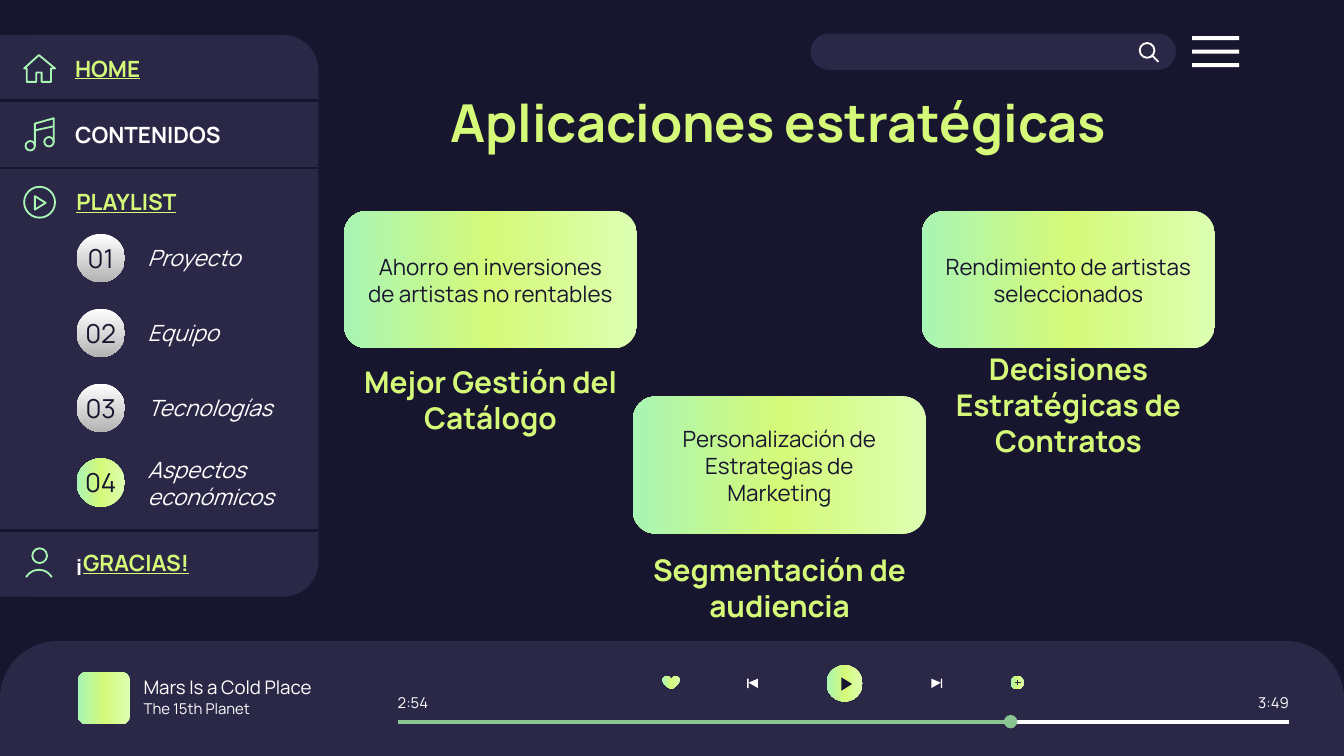
import math

from lxml import etree
from pptx import Presentation
from pptx import util as u
from pptx.dml.color import RGBColor
from pptx.enum import shapes, text
from pptx.oxml.ns import qn

COLOURS = {
    "night": "17162E", "panel": "2A2747", "white": "FFFFFF", "silver": "B3B3B3",
    "lime": "D5F979", "pale": "DDFFB2", "mint": "A9F5B4", "green": "88C591",
}
GRADIENTS = {
    "fresh": (180, [(0, "pale"), (50, "lime"), (100, "mint")]),
    "metal": (90, [(0, "white"), (100, "silver")]),
}
FONT = "Manrope"
SHAPE = shapes.MSO_SHAPE
LEFT, CENTER, RIGHT = text.PP_ALIGN.LEFT, text.PP_ALIGN.CENTER, text.PP_ALIGN.RIGHT

LINK = {"size": u.Pt(12), "bold": True, "underline": True, "color": "lime"}
LABEL = {"size": u.Pt(12), "bold": True, "color": "white"}
ITEM = {"size": u.Pt(12), "italic": True, "color": "white"}
NUMBER = {"size": u.Pt(14), "color": "night"}
TITLE = {"size": u.Pt(28), "bold": True, "color": "lime"}
HEADING = {"size": u.Pt(16), "bold": True, "color": "lime"}
BODY = {"size": u.Pt(12), "color": "night"}
SONG = {"size": u.Pt(10), "color": "white"}
SMALL = {"size": u.Pt(8), "color": "white"}

TITLE_TEXT = "Aplicaciones estratégicas"
MENU = [  # left, top, width, runs
    (0.46, 0.33, 2.08, [("HOME", LINK)]),
    (0.46, 0.82, 2.08, [("CONTENIDOS", LABEL)]),
    (0.47, 1.32, 1.3, [("PLAYLIST", LINK)]),
    (0.46, 4.01, 2.08, [("¡", LABEL), ("GRACIAS!", LINK)]),
]
DIVIDERS = [0.75, 1.25, 3.95]
PLAYLIST = ["Proyecto", "Equipo", "Tecnologías", "Aspectos económicos"]
CURRENT = 4
CARDS = [  # card top, card text, heading, heading top
    (1.57, "Ahorro en inversiones de artistas no rentables", "Mejor Gestión del Catálogo", 2.68),
    (2.95, "Personalización de Estrategias de Marketing", "Segmentación de audiencia", 4.08),
    (1.57, "Rendimiento de artistas seleccionados", "Decisiones Estratégicas de Contratos", 2.72),
]
PLAYER_TEXTS = [  # box, words, format, alignment, side inset
    ((0.97, 5.03, 1.91, 0.17), "Mars Is a Cold Place", SONG, LEFT, 0.1),
    ((0.97, 5.19, 1.15, 0.17), "The 15th Planet", SMALL, LEFT, 0.1),
    ((2.96, 5.14, 0.27, 0.17), "2:54", SMALL, LEFT, 0),
    ((9.32, 5.14, 0.27, 0.17), "3:49", SMALL, RIGHT, 0),
]
TRACK_START, TRACK_NOW, TRACK_END, TRACK_Y = 2.96, 7.47, 9.59, 5.37

presentation = Presentation()
presentation.slide_width, presentation.slide_height = u.Inches(10), u.Inches(5.625)
slide = presentation.slides.add_slide(presentation.slide_layouts[5])


def rgb(name):
    return RGBColor.from_string(COLOURS[name])


def paint(shape, fill=None, line=None, weight=1):
    """Fill with a colour or gradient name; None means no fill or no line."""
    shape.shadow.inherit = False
    if fill in GRADIENTS:
        angle, stops = GRADIENTS[fill]
        shape.fill.gradient()
        gradient = shape._element.spPr.find(qn("a:gradFill"))
        stop_list = gradient.find(qn("a:gsLst"))
        for stop in list(stop_list):
            stop_list.remove(stop)
        for position, name in stops:
            stop = etree.SubElement(stop_list, qn("a:gs"), pos=str(position * 1000))
            etree.SubElement(stop, qn("a:srgbClr"), val=COLOURS[name])
        gradient.find(qn("a:lin")).set("ang", str(angle * 60000))
    elif fill:
        shape.fill.solid()
        shape.fill.fore_color.rgb = rgb(fill)
    else:
        shape.fill.background()
    if line:
        shape.line.color.rgb = rgb(line)
        shape.line.width = u.Pt(weight)
    else:
        shape.line.fill.background()


def add_shape(kind, box, fill=None, line=None, adjust=()):
    shape = slide.shapes.add_shape(kind, *map(u.Inches, box))
    for index, value in enumerate(adjust):
        shape.adjustments[index] = value
    paint(shape, fill, line)
    return shape


def add_outline(points, fill=None, line=None, close=True):
    corners = [(u.Inches(x), u.Inches(y)) for x, y in points]
    builder = slide.shapes.build_freeform(*corners[0])
    builder.add_line_segments(corners[1:], close=close)
    paint(builder.convert_to_shape(), fill, line)


def add_line(start, end, colour, weight):
    ends = map(u.Inches, (*start, *end))
    line = slide.shapes.add_connector(shapes.MSO_CONNECTOR.STRAIGHT, *ends)
    line.line.color.rgb = rgb(colour)
    line.line.width = u.Pt(weight)
    etree.SubElement(line._element.spPr, qn("a:effectLst"))


def write(shape, runs, align=LEFT, side=0.1):
    frame = shape.text_frame
    settings = {"word_wrap": True, "auto_size": text.MSO_AUTO_SIZE.NONE,
                "vertical_anchor": text.MSO_ANCHOR.MIDDLE,
                "margin_left": u.Inches(side), "margin_right": u.Inches(side),
                "margin_top": u.Inches(0.1), "margin_bottom": u.Inches(0.1)}
    for name, value in settings.items():
        setattr(frame, name, value)
    paragraph = frame.paragraphs[0]
    paragraph.alignment = align
    for words, style in runs:
        run = paragraph.add_run()
        run.text = words
        run.font.name = FONT
        for name, value in style.items():
            if name == "color":
                run.font.color.rgb = rgb(value)
            else:
                setattr(run.font, name, value)


def add_text(box, runs, align=LEFT, side=0.1):
    write(slide.shapes.add_textbox(*map(u.Inches, box)), runs, align, side)


def draw_search_bar():
    add_shape(SHAPE.ROUNDED_RECTANGLE, (6.03, 0.25, 2.72, 0.27), "panel", adjust=[0.5])
    add_shape(SHAPE.OVAL, (8.48, 0.32, 0.11, 0.11), line="white")
    add_line((8.57, 0.41), (8.62, 0.46), "white", 1)
    for row in range(3):
        add_shape(SHAPE.RECTANGLE, (8.87, 0.27 + 0.1 * row, 0.35, 0.03), "white")


def draw_menu_icons():
    home = [(0.29, 0.41), (0.41, 0.51), (0.38, 0.51), (0.38, 0.61), (0.31, 0.61), (0.31, 0.54),
            (0.27, 0.54), (0.27, 0.61), (0.2, 0.61), (0.2, 0.51), (0.18, 0.51)]
    add_outline(home, line="mint")
    add_outline([(0.26, 1.09), (0.26, 0.92), (0.4, 0.88), (0.4, 1.06)], line="mint", close=False)
    add_line((0.26, 0.97), (0.4, 0.94), "mint", 1)
    add_outline([(0.26, 1.46), (0.34, 1.51), (0.26, 1.56)], line="mint")
    circles = [(0.19, 1.05, 0.07), (0.33, 1.02, 0.07), (0.18, 1.39, 0.23), (0.24, 4.08, 0.11)]
    for left, top, size in circles:
        add_shape(SHAPE.OVAL, (left, top, size, size), line="mint")
    angles = [math.radians(degrees) for degrees in range(210, 331, 10)]
    shoulders = [(0.29 + 0.11 * math.cos(a), 4.35 + 0.11 * math.sin(a)) for a in angles]
    add_outline(shoulders, line="mint", close=False)


def draw_sidebar():
    add_shape(SHAPE.RECTANGLE, (0, 0.26, 1.18, 4.18), "panel")
    add_shape(SHAPE.ROUNDED_RECTANGLE, (0, 0.26, 2.37, 4.18), "panel", adjust=[0.111])
    for y in DIVIDERS:
        add_line((2.37, y), (0, y), "night", 1.5)
    for left, top, width, runs in MENU:
        add_text((left, top, width, 0.36), runs)
    for number, name in enumerate(PLAYLIST, 1):
        middle = 1.92 + 0.557 * (number - 1)
        fill = "fresh" if number == CURRENT else "metal"
        badge = add_shape(SHAPE.OVAL, (0.57, middle - 0.18, 0.36, 0.36), fill)
        write(badge, [(f"{number:02}", NUMBER)], CENTER, 0)
        add_text((1, middle - 0.26, 1.37, 0.52), [(name, ITEM)])
    draw_menu_icons()


def draw_cards():
    for column, (top, words, heading, heading_top) in enumerate(CARDS):
        left = 2.56 + 2.15 * column
        add_shape(SHAPE.ROUNDED_RECTANGLE, (left, top, 2.18, 1.02), "fresh", adjust=[0.167])
        add_text((left + 0.06, top + 0.16, 2.06, 0.71), [(words, BODY)], CENTER)
        add_text((left + 0.03, heading_top, 2.12, 0.58), [(heading, HEADING)], CENTER)


def draw_player():
    add_shape(SHAPE.ROUND_2_SAME_RECTANGLE, (0, 4.77, 10, 0.86), "panel", adjust=[0.5, 0])
    add_shape(SHAPE.ROUNDED_RECTANGLE, (0.58, 5, 0.39, 0.39), "fresh", adjust=[0.167])
    for box, words, style, align, side in PLAYER_TEXTS:
        add_text(box, [(words, style)], align, side)
    add_shape(SHAPE.HEART, (4.93, 5.03, 0.13, 0.1), "fresh")
    add_shape(SHAPE.OVAL, (6.15, 4.95, 0.27, 0.27), "fresh")
    add_outline([(6.26, 5.04), (6.26, 5.14), (6.34, 5.09)], "night")
    for bar, base, tip in [(5.56, 5.64, 5.57), (7, 6.93, 7)]:
        add_shape(SHAPE.RECTANGLE, (bar, 5.05, 0.01, 0.07), "white")
        add_outline([(base, 5.05), (base, 5.12), (tip, 5.08)], "white")
    add_shape(SHAPE.OVAL, (7.52, 5.03, 0.1, 0.1), "fresh")
    add_line((7.57, 5.06), (7.57, 5.1), "panel", 0.75)
    add_line((7.55, 5.08), (7.6, 5.08), "panel", 0.75)
    add_line((TRACK_START, TRACK_Y), (TRACK_END, TRACK_Y), "white", 2.25)
    add_shape(SHAPE.OVAL, (TRACK_NOW, TRACK_Y - 0.05, 0.1, 0.1), "green")
    add_line((TRACK_START, TRACK_Y), (TRACK_NOW, TRACK_Y), "green", 2.25)


slide.background.fill.solid()
slide.background.fill.fore_color.rgb = rgb("night")
title = slide.shapes.title
for name, length in zip(("left", "top", "width", "height"), (2.61, 0.59, 6.36, 0.63)):
    setattr(title, name, u.Inches(length))
write(title, [(TITLE_TEXT, TITLE)], CENTER)
draw_search_bar()
draw_player()
draw_cards()
draw_sidebar()
presentation.save("out.pptx")
